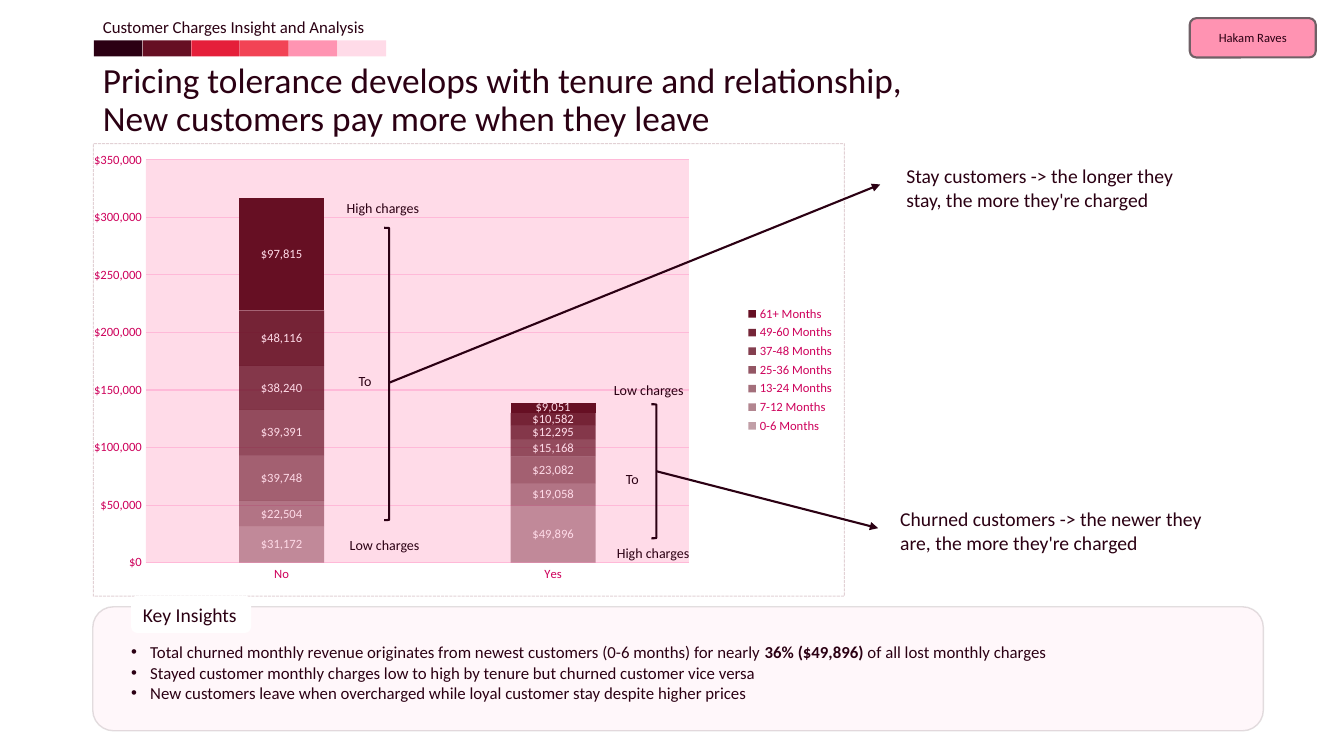
from lxml import etree
from pptx import Presentation
from pptx.chart.data import CategoryChartData
from pptx.dml.color import RGBColor
from pptx.enum.chart import XL_CHART_TYPE, XL_LABEL_POSITION, XL_LEGEND_POSITION, XL_TICK_MARK
from pptx.enum.dml import MSO_LINE
from pptx.enum.shapes import MSO_CONNECTOR, MSO_SHAPE
from pptx.enum.text import MSO_ANCHOR, MSO_AUTO_SIZE, PP_ALIGN
from pptx.oxml import parse_xml
from pptx.oxml.ns import nsdecls, qn
from pptx.util import Inches, Pt

STACKED = XL_CHART_TYPE.COLUMN_STACKED
CENTER_LABEL = XL_LABEL_POSITION.CENTER
LEGEND_RIGHT = XL_LEGEND_POSITION.RIGHT
NO_TICK = XL_TICK_MARK.NONE
DASH = MSO_LINE.SQUARE_DOT
STRAIGHT = MSO_CONNECTOR.STRAIGHT
RECT, ROUND, BRACKET = MSO_SHAPE.RECTANGLE, MSO_SHAPE.ROUNDED_RECTANGLE, MSO_SHAPE.LEFT_BRACKET
TOP, MIDDLE = MSO_ANCHOR.TOP, MSO_ANCHOR.MIDDLE
LEFT, CENTER = PP_ALIGN.LEFT, PP_ALIGN.CENTER
NO_FIT = MSO_AUTO_SIZE.NONE

FONT = "Calibri"
INK, WINE, PINK, BLUSH = "2B0013", "660F23", "FF93B2", "FFDBE8"
MAGENTA, GRID, GREY, WHITE = "CE005B", "FFB9D8", "706066", "FFFFFF"
PALETTE = [INK, WINE, "E51F3A", "F24355", "FF94B2", BLUSH]
MONEY = "[$$-409]#,##0"
CHARGES = {
    "0-6 Months": (31172, 49896),
    "7-12 Months": (22504, 19058),
    "13-24 Months": (39748, 23082),
    "25-36 Months": (39391, 15168),
    "37-48 Months": (38240, 12295),
    "49-60 Months": (48116, 10582),
    "61+ Months": (97815, 9051),
}
INSIGHTS = [
    ["Total churned monthly revenue originates from newest customers (0-6 months) for nearly ",
     "36% ($49,896) ", "of all lost monthly charges"],
    ["Stayed customer monthly charges low to high by tenure but churned customer vice versa"],
    ["New customers leave when overcharged while loyal customer stay despite higher prices"],
]


def paint(fill, color, alpha=100):
    fill.solid()
    fill.fore_color.rgb = RGBColor.from_string(color)
    if alpha < 100:
        clr = fill._xPr.find(".//" + qn("a:srgbClr"))
        etree.SubElement(clr, qn("a:alpha")).set("val", str(alpha * 1000))


def stroke(line, color, width, alpha=100):
    line.width = Pt(width)
    paint(line.fill, color, alpha)


def style(font, size, color=INK):
    font.name, font.size = FONT, Pt(size)
    font.color.rgb = RGBColor.from_string(color)


def add_run(p, text, size, bold=None):
    r = p.add_run()
    r.text = text
    r.font.bold = bold
    style(r.font, size)


def add_box(s, kind, box, fill=None, alpha=100):
    sp = s.shapes.add_shape(kind, *map(Inches, box))
    sp.shadow.inherit = False
    sp.line.fill.background()
    if fill:
        paint(sp.fill, fill, alpha)
    else:
        sp.fill.background()
    return sp


def add_label(s, text, box, size):
    tf = s.shapes.add_textbox(*map(Inches, box)).text_frame
    tf.word_wrap = True
    add_run(tf.paragraphs[0], text, size)


def place(sp, box, anchor):
    sp.left, sp.top, sp.width, sp.height = map(Inches, box)
    tf = sp.text_frame
    tf.word_wrap, tf.auto_size, tf.vertical_anchor = True, NO_FIT, anchor
    return tf


def set_bullet(p, indent, char=None):
    pPr = p._p.get_or_add_pPr()
    pPr.set("marL", str(Inches(indent)))
    pPr.set("indent", str(-Inches(indent)))
    if char:
        etree.SubElement(pPr, qn("a:buChar")).set("char", char)
    else:
        etree.SubElement(pPr, qn("a:buNone"))


def add_header(s, box, title, topic):
    x, y, w, h = box
    p = place(topic, (x, y, 2.98, 0.28), TOP).paragraphs[0]
    p.line_spacing, p.space_before = 0.9, Pt(10)
    set_bullet(p, 0)
    add_run(p, "Customer Charges Insight and Analysis", 12)
    step = 0.484
    for i, color in enumerate(PALETTE):
        add_box(s, RECT, (x + 0.01 + i * step, y + 0.26, 0.48, 0.16), color)
    p = place(title, (x, y + 0.42, w, h - 0.42), MIDDLE).paragraphs[0]
    p.alignment, p.line_spacing = LEFT, 0.9
    add_run(p, "Pricing tolerance develops with tenure and relationship,", 25.2)
    p.add_line_break()
    add_run(p, "New customers pay more when they leave", 25.2)


def add_badge(s, box):
    sp = add_box(s, ROUND, box, PINK)
    stroke(sp.line, GREY, 1.5)
    p = sp.text_frame.paragraphs[0]
    p.alignment = CENTER
    add_run(p, "Hakam Raves", 9)


def add_charges_chart(s, box):
    data = CategoryChartData(number_format=MONEY)
    data.categories = ["No", "Yes"]
    for name, values in CHARGES.items():
        data.add_series(name, values)
    chart = s.shapes.add_chart(STACKED, *map(Inches, box), data).chart
    style(chart.font, 10)
    chart.has_title = False
    chart.has_legend = True
    chart.legend.position = LEGEND_RIGHT
    chart.legend.include_in_layout = False
    style(chart.legend.font, 9, MAGENTA)
    for axis in (chart.category_axis, chart.value_axis):
        axis.major_tick_mark = axis.minor_tick_mark = NO_TICK
        style(axis.tick_labels.font, 9, MAGENTA)
    stroke(chart.category_axis.format.line, GRID, 0.75)
    values = chart.value_axis
    values.format.line.fill.background()
    values.tick_labels.number_format = MONEY
    values.tick_labels.number_format_is_linked = False
    stroke(values.major_gridlines.format.line, GRID, 0.75)
    plot = chart.plots[0]
    plot.gap_width, plot.overlap, plot.vary_by_categories = 219, 100, False
    for i, series in enumerate(plot.series):
        paint(series.format.fill, WINE, 40 + 10 * i)
        labels = series.data_labels
        labels.show_value, labels.position = True, CENTER_LABEL
        labels.number_format, labels.number_format_is_linked = MONEY, False
        style(labels.font, 9, BLUSH)
    format_areas(chart)


def format_areas(chart):
    space = chart._chartSpace
    area = space.chart.plotArea
    for old in area.findall(qn("c:layout")):
        area.remove(old)
    shares = "".join(f'<c:{k} val="{v}"/>' for k, v in
                     zip("xywh", (0.07, 0.036, 0.723, 0.89)))
    area.insert(0, parse_xml(
        f'<c:layout {nsdecls("c")}><c:manualLayout><c:layoutTarget val="inner"/>'
        f'<c:xMode val="edge"/><c:yMode val="edge"/>{shares}</c:manualLayout></c:layout>'))
    area.append(parse_xml(
        f'<c:spPr {nsdecls("c", "a")}><a:solidFill><a:srgbClr val="{BLUSH}"/></a:solidFill></c:spPr>'))
    space.chart.addnext(parse_xml(
        f'<c:spPr {nsdecls("c", "a")}><a:noFill/><a:ln w="{Pt(0.75)}"><a:solidFill>'
        f'<a:srgbClr val="{WINE}"><a:alpha val="18000"/></a:srgbClr></a:solidFill>'
        f'<a:prstDash val="sysDash"/></a:ln></c:spPr>'))


def add_range(s, box, top, bottom, gaps, start, end, note, text):
    x, y, w, h = box
    sp = add_box(s, BRACKET, box)
    sp.rotation = 180
    stroke(sp.line, INK, 1.5)
    add_label(s, top, (x - 0.47, y - gaps[0], 1.1, 0.27), 10)
    add_label(s, "To", (x - 0.35, y + h / 2 - 0.06, 0.43, 0.27), 10)
    add_label(s, bottom, (x - 0.44, y + h + gaps[1], 1.1, 0.27), 10)
    line = s.shapes.add_connector(STRAIGHT, *map(Inches, (x + w, y + h * start, *end)))
    stroke(line.line, INK, 1.5)
    etree.SubElement(line.line._ln, qn("a:tailEnd")).set("type", "triangle")
    etree.SubElement(line._element.spPr, qn("a:effectLst"))
    add_label(s, text, (*note, 3.22, 0.57), 14)


def add_insights(s, box, body):
    x, y, w, h = box
    card = add_box(s, ROUND, box, BLUSH, 20)
    stroke(card.line, GREY, 1, 20)
    card._element.addnext(body._element)
    tf = place(body, (x + 0.28, y + 0.3, 9.52, 0.71), TOP)
    for i, parts in enumerate(INSIGHTS):
        p = tf.add_paragraph() if i else tf.paragraphs[0]
        p.space_before = Pt(0)
        set_bullet(p, 0.19, "•")
        for j, part in enumerate(parts):
            add_run(p, part, 12, j == 1)
    tab = add_box(s, ROUND, (x + 0.38, y - 0.11, 1.19, 0.37), WHITE)
    p = tab.text_frame.paragraphs[0]
    p.alignment = LEFT
    add_run(p, "Key Insights", 14)


def main():
    prs = Presentation()
    prs.slide_width, prs.slide_height = Inches(13.33), Inches(7.5)
    s = prs.slides.add_slide(prs.slide_layouts[3])
    title, topic, body = s.placeholders
    left = 0.92
    add_badge(s, (11.8, 0.18, 1.25, 0.39))
    add_header(s, (left, 0.14, 10.83, 1.31), title, topic)
    add_charges_chart(s, (left, 1.42, 7.46, 4.5))
    add_insights(s, (left, 6.02, 11.61, 1.23), body)
    add_range(s, (6.46, 4.01, 0.05, 1.33), "Low charges", "High charges", (0.27, 0.01), 0.5,
              (8.71, 5.24), (8.83, 4.98),
              "Churned customers -> the newer they are, the more they're charged")
    add_range(s, (3.81, 2.26, 0.05, 2.9), "High charges", "Low charges", (0.33, 0.11), 0.53,
              (8.73, 1.83), (8.89, 1.58),
              "Stay customers -> the longer they stay, the more they're charged")
    prs.save("out.pptx")


if __name__ == "__main__":
    main()
